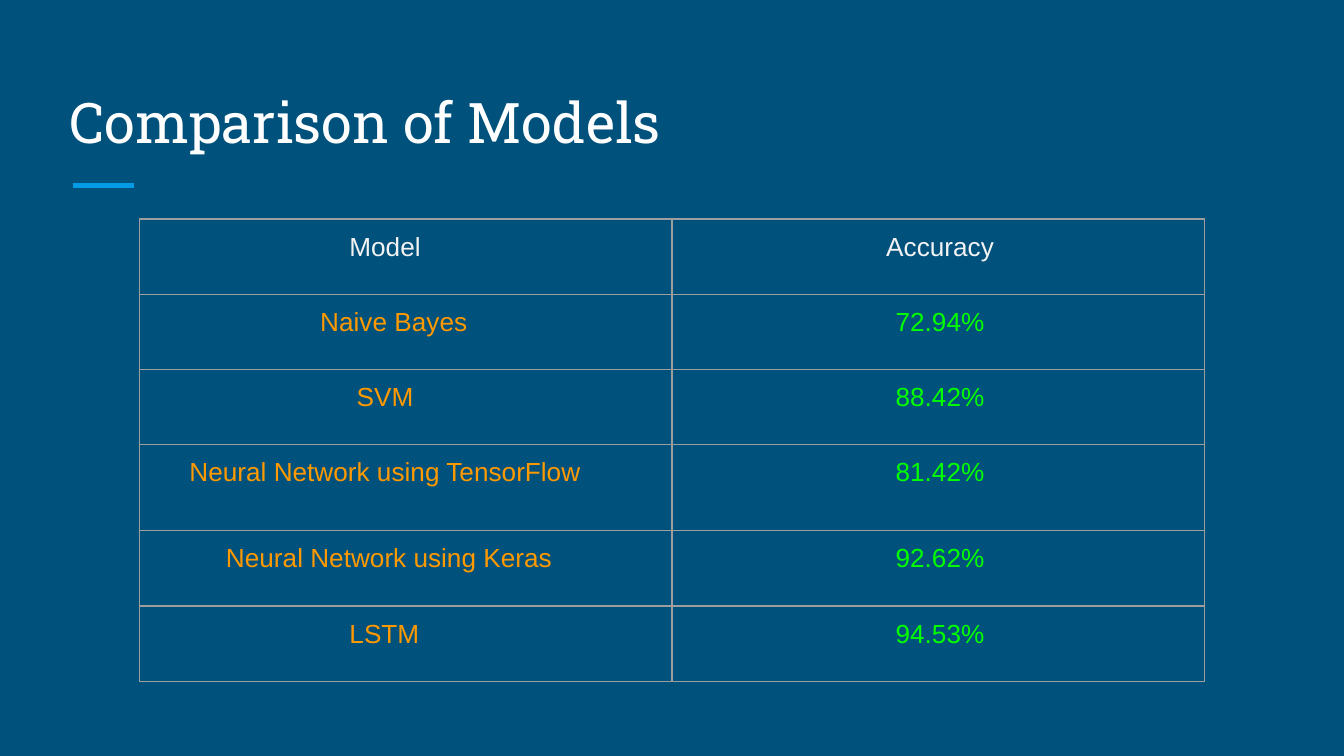
from lxml import etree
from pptx import Presentation
from pptx.dml.color import RGBColor
from pptx.enum.shapes import MSO_CONNECTOR
from pptx.enum.text import MSO_ANCHOR, PP_ALIGN
from pptx.oxml import parse_xml
from pptx.oxml.ns import nsdecls, qn
from pptx.util import Inches, Pt

STRAIGHT = MSO_CONNECTOR.STRAIGHT
BOTTOM = MSO_ANCHOR.BOTTOM
TOP = MSO_ANCHOR.TOP
CENTER = PP_ALIGN.CENTER

NAVY = RGBColor(0x00, 0x51, 0x7C)
BLUE = RGBColor(0x03, 0x9B, 0xE5)
WHITE = RGBColor(0xFF, 0xFF, 0xFF)
PALE = RGBColor(0xF3, 0xF3, 0xF3)
ORANGE = RGBColor(0xFF, 0x99, 0x00)
GREEN = RGBColor(0x00, 0xFF, 0x00)
GRAY = RGBColor(0x9E, 0x9E, 0x9E)

ROWS = [
    ("Model", "Accuracy"),
    ("Naive Bayes", "72.94%"),
    ("SVM", "88.42%"),
    ("Neural Network using TensorFlow", "81.42%"),
    ("Neural Network using Keras", "92.62%"),
    ("LSTM", "94.53%"),
]
COLUMN_WIDTH = Inches(3.96)
ROW_HEIGHT = Inches(0.56)
TALL_ROW = 3
TALL_ROW_HEIGHT = Inches(0.64)
INSET = Inches(0.1)
COLUMN_COLORS = [ORANGE, GREEN]
LEFT_INSETS = [INSET, Inches(0.13)]
MODEL_RIGHT_INSETS = [Inches(inset) for inset in (0.41, 0.28, 0.41, 0.41, 0.35, 0.42)]


def format_run(run, font_name, size, color):
    run.font.name = font_name
    run.font.size = Pt(size)
    run.font.color.rgb = color


def add_borders(cell):
    properties = cell._tc.get_or_add_tcPr()
    for index, side in enumerate(("lnL", "lnR", "lnT", "lnB")):
        border = parse_xml(
            f'<a:{side} {nsdecls("a")} w="{Pt(0.75)}"><a:solidFill>'
            f'<a:srgbClr val="{GRAY}"/></a:solidFill></a:{side}>'
        )
        properties.insert(index, border)


presentation = Presentation()
presentation.slide_width = Inches(10)
presentation.slide_height = presentation.slide_width * 9 // 16
slide = presentation.slides.add_slide(presentation.slide_layouts[6])
slide.background.fill.solid()
slide.background.fill.fore_color.rgb = NAVY

accent = slide.shapes.add_connector(
    STRAIGHT, Inches(0.54), Inches(1.38), Inches(1), Inches(1.38)
)
accent.line.color.rgb = BLUE
accent.line.width = Pt(3)
etree.SubElement(accent._element.spPr, qn("a:effectLst"))

title = slide.shapes.add_textbox(Inches(0.42), Inches(0.5), Inches(9.15), Inches(0.75))
title_frame = title.text_frame
title_frame.word_wrap = True
title_frame.vertical_anchor = BOTTOM
title_frame.margin_left = title_frame.margin_right = INSET
title_frame.margin_top = title_frame.margin_bottom = INSET
title_frame.text = "Comparison of Models"
format_run(title_frame.paragraphs[0].runs[0], "Roboto Slab", 30, WHITE)

table = slide.shapes.add_table(
    len(ROWS), 2, Inches(1.04), Inches(1.63), 2 * COLUMN_WIDTH, len(ROWS) * ROW_HEIGHT
).table
table.first_row = False
table.horz_banding = False
for column in table.columns:
    column.width = COLUMN_WIDTH

for row_index, values in enumerate(ROWS):
    table.rows[row_index].height = (
        TALL_ROW_HEIGHT if row_index == TALL_ROW else ROW_HEIGHT
    )
    right_insets = [MODEL_RIGHT_INSETS[row_index], INSET]
    for column_index, value in enumerate(values):
        cell = table.cell(row_index, column_index)
        cell.fill.background()
        cell.vertical_anchor = TOP
        cell.margin_left = LEFT_INSETS[column_index]
        cell.margin_right = right_insets[column_index]
        cell.margin_top = cell.margin_bottom = INSET
        cell.text_frame.text = value
        paragraph = cell.text_frame.paragraphs[0]
        paragraph.alignment = CENTER
        color = PALE if row_index == 0 else COLUMN_COLORS[column_index]
        format_run(paragraph.runs[0], "Arial", 14, color)
        add_borders(cell)

presentation.save("out.pptx")
